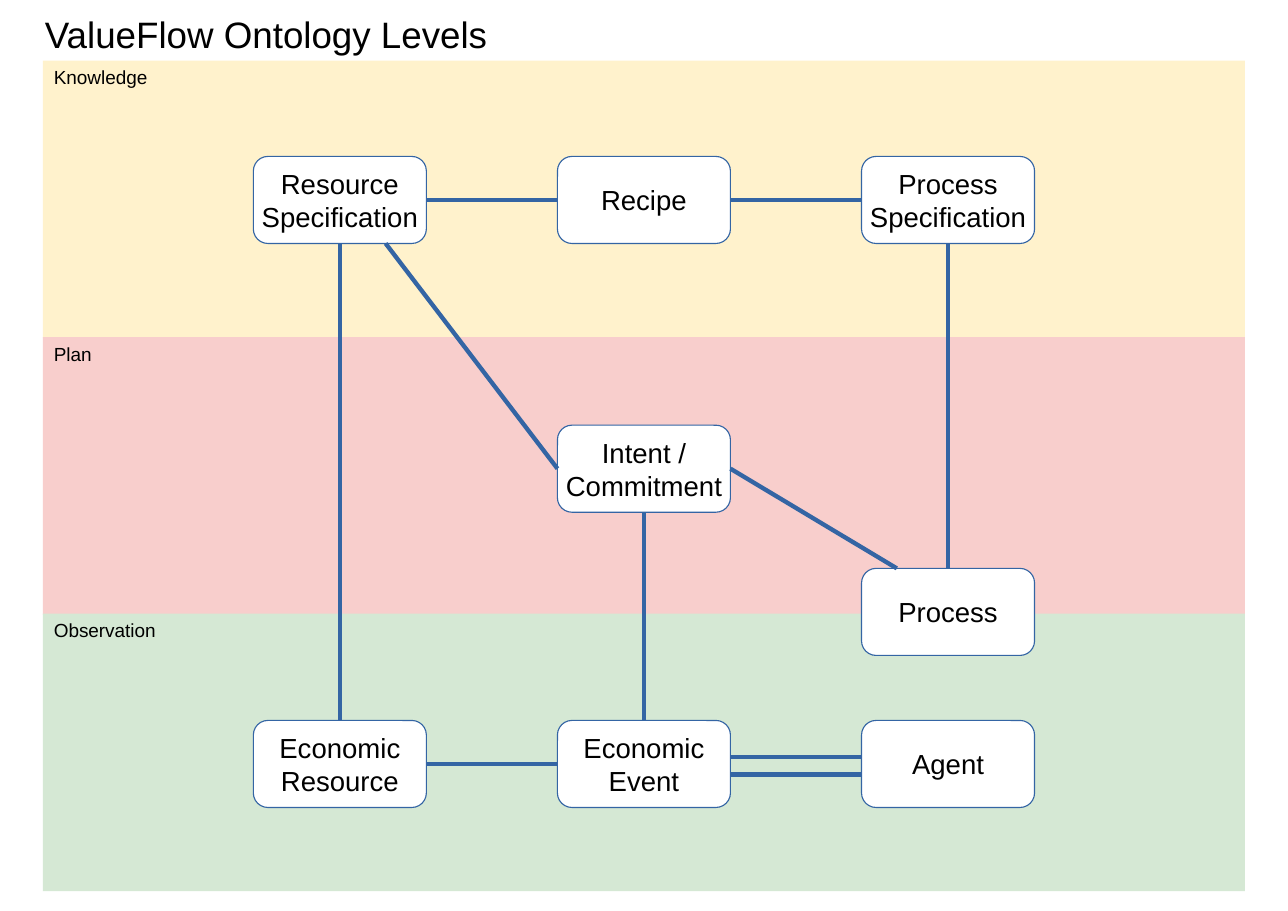
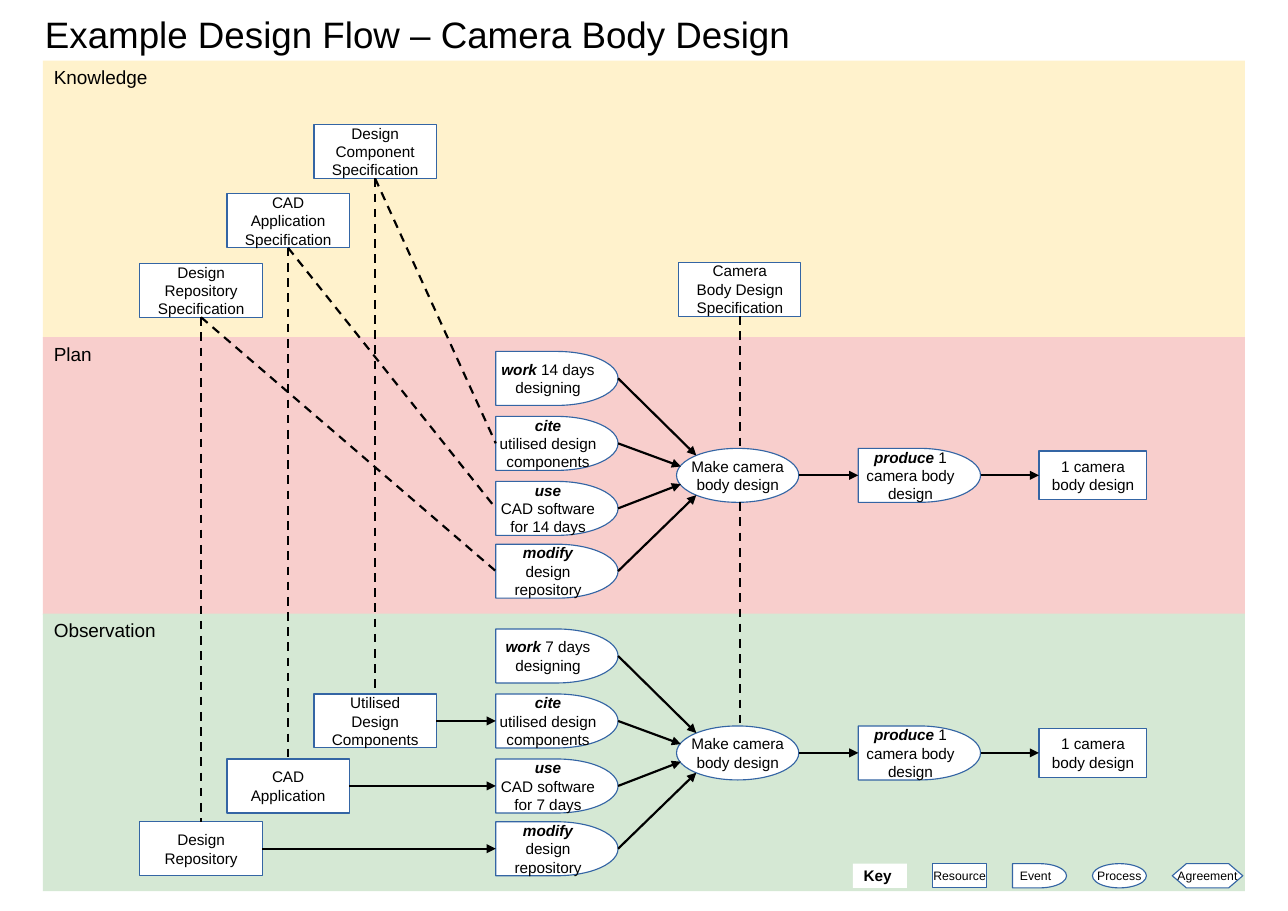
"""Build two slides: the ontology levels and an example design flow."""
from dataclasses import dataclass

from lxml import etree
from pptx import Presentation
from pptx.dml.color import RGBColor
from pptx.enum.dml import MSO_LINE
from pptx.enum.shapes import MSO_CONNECTOR, MSO_SHAPE
from pptx.enum.text import MSO_ANCHOR, PP_ALIGN
from pptx.oxml.ns import qn
from pptx.util import Inches, Pt

RECT, ROUNDED = MSO_SHAPE.RECTANGLE, MSO_SHAPE.ROUNDED_RECTANGLE
EVENT, PROCESS = MSO_SHAPE.FLOWCHART_DELAY, MSO_SHAPE.OVAL
AGREEMENT = MSO_SHAPE.FLOWCHART_PREPARATION
STRAIGHT, DASH = MSO_CONNECTOR.STRAIGHT, MSO_LINE.DASH
LEFT_ALIGN, CENTER = PP_ALIGN.LEFT, PP_ALIGN.CENTER
TOP_ANCHOR, MIDDLE = MSO_ANCHOR.TOP, MSO_ANCHOR.MIDDLE
TOP, LEFT, BOTTOM, RIGHT = range(4)


@dataclass(frozen=True)
class Theme:
    font: str = "Arial"
    text: str = "000000"
    box: str = "FFFFFF"
    accent: str = "3465A4"
    title: float = 24
    concept: float = 18
    band: float = 12.4
    body: float = 10
    key: float = 8
    thick: float = 2.83
    thin: float = 1.42


THEME = Theme()

BANDS = [("Knowledge", "FFF2CC"), ("Plan", "F8CECC"), ("Observation", "D5E8D4")]
BAND_LEFT, BAND_TOP, BAND_WIDTH, BAND_HEIGHT, BAND_STEP = 0.39, 0.55, 10.91, 2.52, 2.51

CONCEPT_WIDTH, CONCEPT_HEIGHT = 1.57, 0.79
CONCEPT_LEFTS = (2.3, 5.06, 7.82)
CONCEPTS = {
    "Resource\nSpecification": (0, 1.42),
    "Recipe": (1, 1.42),
    "Process\nSpecification": (2, 1.42),
    "Intent /\nCommitment": (1, 3.86),
    "Process": (2, 5.16),
    "Economic\nResource": (0, 6.54),
    "Economic\nEvent": (1, 6.54),
    "Agent": (2, 6.54),
}
RELATIONS = [
    ("Resource\nSpecification", RIGHT, "Recipe", LEFT),
    ("Recipe", RIGHT, "Process\nSpecification", LEFT),
    ("Resource\nSpecification", BOTTOM, "Economic\nResource", TOP),
    ("Process\nSpecification", BOTTOM, "Process", TOP),
    ("Intent /\nCommitment", BOTTOM, "Economic\nEvent", TOP),
    ("Economic\nResource", RIGHT, "Economic\nEvent", LEFT),
]

NODE_WIDTH, NODE_HEIGHT = 1.11, 0.49
SPEC_LEFT, SPEC_TOP, SPEC_STEP_X, SPEC_STEP_Y = 2.85, 1.13, 0.79, 0.63
SPECIFICATIONS = [
    "Design\nComponent\nSpecification",
    "CAD\nApplication\nSpecification",
    "Design\nRepository\nSpecification",
]
RESOURCES = ["Utilised\nDesign\nComponents", "CAD\nApplication", "Design\nRepository"]
OUTCOME_SPECIFICATION = "Camera\nBody Design\nSpecification"
STAGES = [(3.19, 14), (5.71, 7)]
EVENT_LEFT, PROCESS_LEFT, PRODUCE_LEFT, OUTCOME_LEFT = 4.5, 6.14, 7.79, 9.43
PROCESS_OFFSET = 0.88
OUTCOME_WIDTH, OUTCOME_HEIGHT = 0.98, 0.44
INPUTS = [
    ("work| {days} days\ndesigning", 0, (6.32, -0.18)),
    ("cite|\nutilised design\ncomponents", 0.59, (6.18, -0.08)),
    ("use|\nCAD software\nfor {days} days", 1.18, (6.18, 0.08)),
    ("modify|\ndesign\nrepository", 1.75, (6.32, 0.18)),
]
KEY_LEFT, KEY_TOP, KEY_STEP, KEY_HEIGHT = 7.74, 7.84, 0.725, 0.22
KEY_ENTRIES = [
    ("Resource", RECT, 0.49),
    ("Event", EVENT, 0.49),
    ("Process", PROCESS, 0.49),
    ("Agreement", AGREEMENT, 0.64),
]


def rgb(value):
    return RGBColor.from_string(value)


def write(frame, text, size, align=LEFT_ALIGN, bold=None):
    """Write one paragraph a line; words before a bar are bold italic."""
    for index, line in enumerate(text.split("\n")):
        paragraph = frame.add_paragraph() if index else frame.paragraphs[0]
        paragraph.alignment = align
        font = paragraph.font
        font.name, font.size, font.bold = THEME.font, Pt(size), bold
        font.color.rgb = rgb(THEME.text)
        verb, bar, rest = line.partition("|")
        if bar:
            run = paragraph.add_run()
            run.text = verb
            run.font.bold = run.font.italic = True
        plain = rest if bar else line
        if plain:
            paragraph.add_run().text = plain


def add_block(slide, kind, area, text, size, fill=THEME.box, outline=THEME.accent,
              align=CENTER, anchor=MIDDLE, wrap=False, bold=None):
    block = slide.shapes.add_shape(kind, *map(Inches, area))
    block.shadow.inherit = False
    block.fill.solid()
    block.fill.fore_color.rgb = rgb(fill)
    if outline:
        block.line.color.rgb = rgb(outline)
        block.line.width = Pt(0)
    else:
        block.line.fill.background()
    block.text_frame.word_wrap = wrap
    block.text_frame.vertical_anchor = anchor
    write(block.text_frame, text, size, align, bold)
    return block


def add_link(slide, start, end, color=THEME.text, width=THEME.thin, dash=None, arrow=False):
    """Link two ends, each a point in inches or a (shape, side) pair."""
    link = slide.shapes.add_connector(STRAIGHT, 0, 0, 0, 0)
    link.begin_x, link.begin_y, link.end_x, link.end_y = (
        Inches(value) if isinstance(value, (int, float)) else 0 for value in (*start, *end))
    if not isinstance(start[0], (int, float)):
        link.begin_connect(*start)
    if not isinstance(end[0], (int, float)):
        link.end_connect(*end)
    link.line.color.rgb = rgb(color)
    link.line.width = Pt(width)
    if dash:
        link.line.dash_style = dash
    if arrow:
        etree.SubElement(link.line._get_or_add_ln(), qn("a:tailEnd"), type="triangle")
    etree.SubElement(link._element.spPr, qn("a:effectLst"))


def add_level_slide(deck, title):
    slide = deck.slides.add_slide(deck.slide_layouts[6])
    for index, (level, color) in enumerate(BANDS):
        area = (BAND_LEFT, BAND_TOP + index * BAND_STEP, BAND_WIDTH, BAND_HEIGHT)
        add_block(slide, RECT, area, level, THEME.band, color, None,
                  LEFT_ALIGN, TOP_ANCHOR, True)
    heading = slide.shapes.add_textbox(*map(Inches, (0.31, 0.06, 11, 0.47)))
    heading.text_frame.word_wrap = True
    write(heading.text_frame, title, THEME.title)
    return slide


def build_ontology(deck):
    slide = add_level_slide(deck, "ValueFlow Ontology Levels")
    concepts = {
        name: add_block(slide, ROUNDED,
                        (CONCEPT_LEFTS[column], top, CONCEPT_WIDTH, CONCEPT_HEIGHT),
                        name, THEME.concept)
        for name, (column, top) in CONCEPTS.items()
    }
    intent = concepts["Intent /\nCommitment"]
    links = [((concepts[a], a_side), (concepts[b], b_side))
             for a, a_side, b, b_side in RELATIONS]
    links += [((3.5, 2.21), (intent, LEFT)), ((intent, RIGHT), (8.14, 5.16))]
    event_right = CONCEPT_LEFTS[1] + CONCEPT_WIDTH
    links += [((event_right, y), (CONCEPT_LEFTS[2], y)) for y in (6.87, 7.03)]
    for start, end in links:
        add_link(slide, start, end, THEME.accent, THEME.thick)


def add_node(slide, kind, left, top, text):
    return add_block(slide, kind, (left, top, NODE_WIDTH, NODE_HEIGHT), text, THEME.body)


def add_stage(slide, top, days):
    """Draw one run of the process and return its input events."""
    process_top = top + PROCESS_OFFSET
    middle = process_top + NODE_HEIGHT / 2
    add_node(slide, PROCESS, PROCESS_LEFT, process_top, "Make camera\nbody design")
    produce = add_node(slide, EVENT, PRODUCE_LEFT, process_top,
                       "produce| 1\ncamera body\ndesign")
    outcome = add_block(slide, RECT,
                        (OUTCOME_LEFT, middle - OUTCOME_HEIGHT / 2,
                         OUTCOME_WIDTH, OUTCOME_HEIGHT),
                        "1 camera\nbody design", THEME.body)
    add_link(slide, (PROCESS_LEFT + NODE_WIDTH, middle), (produce, LEFT), arrow=True)
    add_link(slide, (produce, RIGHT), (outcome, LEFT), arrow=True)
    events = []
    for text, offset, (x, rise) in INPUTS:
        event = add_node(slide, EVENT, EVENT_LEFT, top + offset, text.format(days=days))
        add_link(slide, (event, RIGHT), (x, middle + rise), arrow=True)
        events.append(event)
    return events


def add_key(slide):
    add_block(slide, RECT, (KEY_LEFT, KEY_TOP, 0.49, KEY_HEIGHT), "Key", THEME.body,
              outline=None, align=LEFT_ALIGN, bold=True)
    for index, (name, kind, width) in enumerate(KEY_ENTRIES, 1):
        area = (KEY_LEFT + index * KEY_STEP, KEY_TOP, width, KEY_HEIGHT)
        add_block(slide, kind, area, name, THEME.key)


def build_design_flow(deck):
    slide = add_level_slide(deck, "Example Design Flow – Camera Body Design")
    add_key(slide)
    planned, observed = (add_stage(slide, top, days) for top, days in STAGES)
    observed_top = STAGES[1][0]
    for index, (specification, resource) in enumerate(zip(SPECIFICATIONS, RESOURCES)):
        left = SPEC_LEFT - index * SPEC_STEP_X
        offset = INPUTS[index + 1][1]
        spec_box = add_node(slide, RECT, left, SPEC_TOP + index * SPEC_STEP_Y, specification)
        resource_box = add_node(slide, RECT, left, observed_top + offset, resource)
        add_link(slide, (spec_box, BOTTOM), (resource_box, TOP), dash=DASH)
        add_link(slide, (spec_box, BOTTOM), (planned[index + 1], LEFT), dash=DASH)
        add_link(slide, (resource_box, RIGHT), (observed[index + 1], LEFT), arrow=True)

    outcome_spec = add_node(slide, RECT, PROCESS_LEFT + 0.02, 2.38, OUTCOME_SPECIFICATION)
    center = PROCESS_LEFT + 0.02 + NODE_WIDTH / 2
    plan_top, observation_top = (top + PROCESS_OFFSET for top, _ in STAGES)
    add_link(slide, (outcome_spec, BOTTOM), (center, plan_top), dash=DASH)
    add_link(slide, (center, plan_top + NODE_HEIGHT), (center, observation_top), dash=DASH)


def main():
    deck = Presentation()
    deck.slide_width, deck.slide_height = Inches(11.69), Inches(8.27)
    build_ontology(deck)
    build_design_flow(deck)
    deck.save("out.pptx")


if __name__ == "__main__":
    main()
